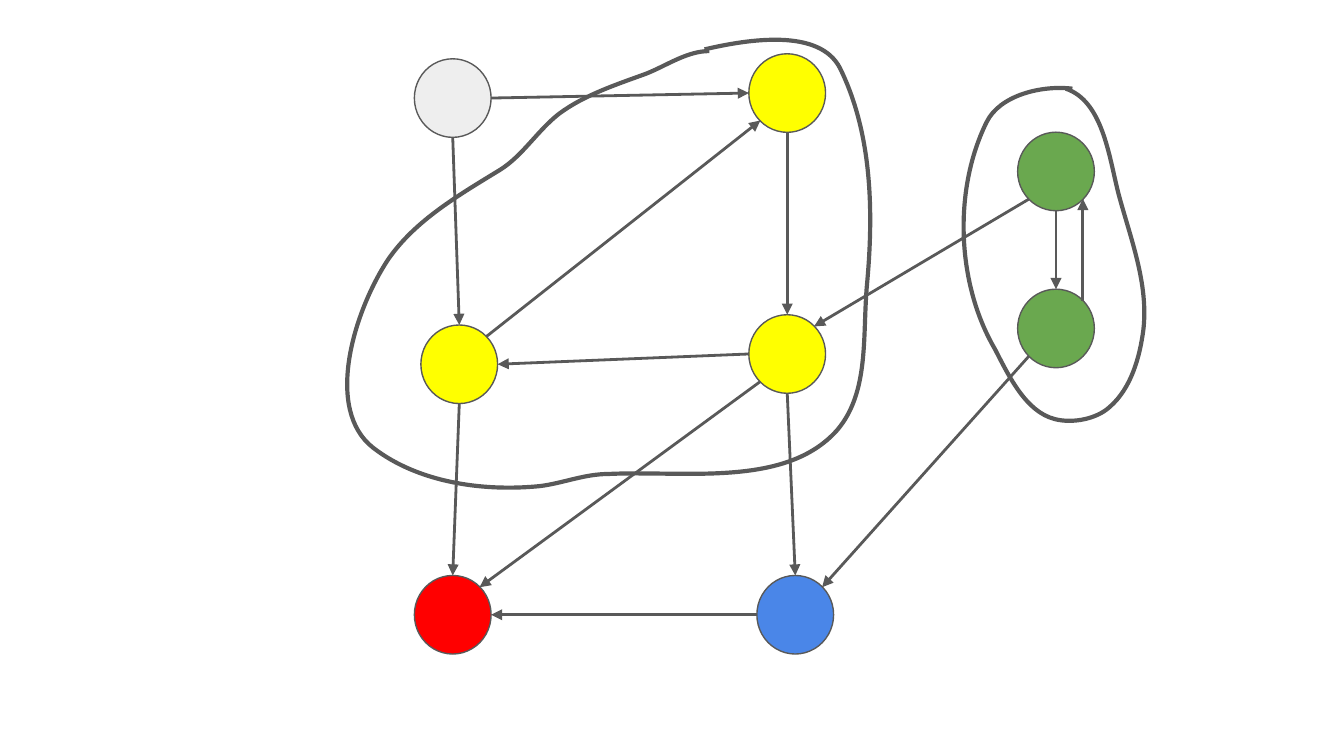
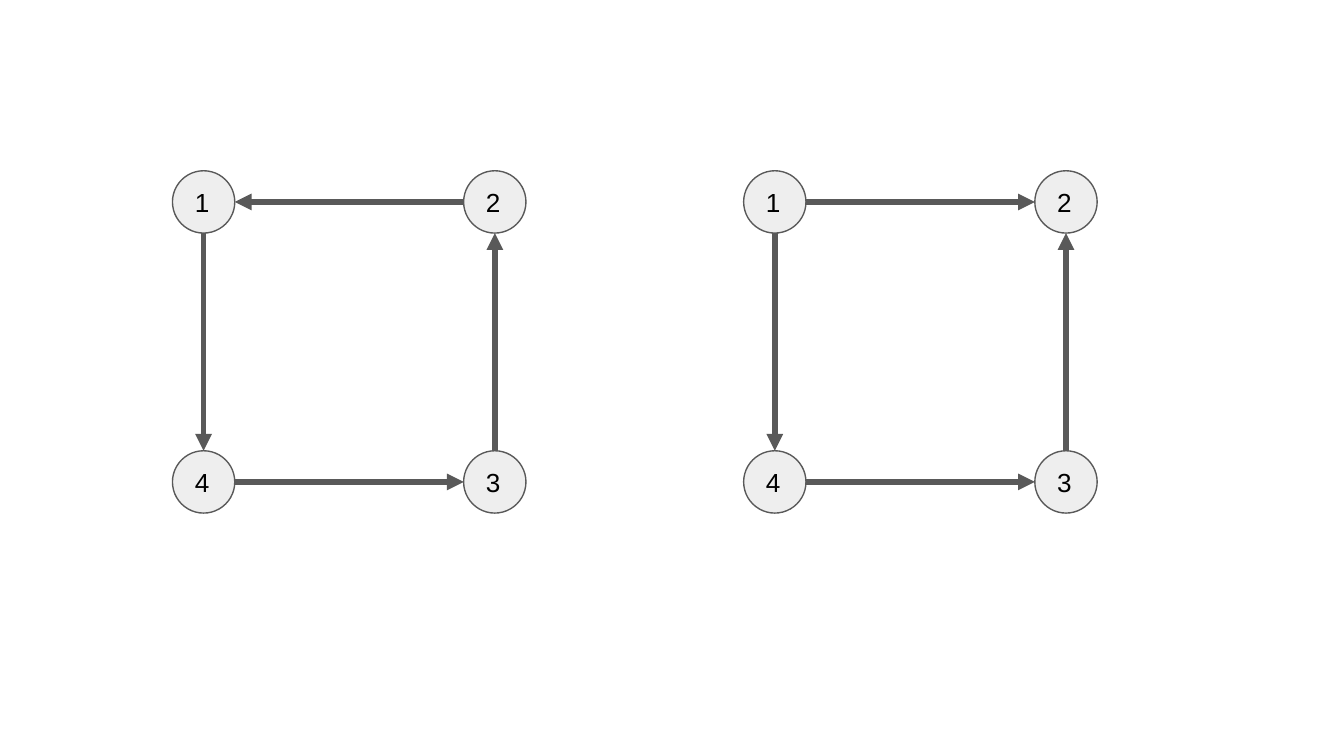
from dataclasses import dataclass

from lxml import etree
from pptx import Presentation
from pptx.dml.color import RGBColor
from pptx.enum.shapes import MSO_CONNECTOR, MSO_SHAPE
from pptx.enum.text import MSO_ANCHOR, PP_ALIGN
from pptx.oxml.ns import qn
from pptx.util import Pt

STRAIGHT = MSO_CONNECTOR.STRAIGHT
OVAL = MSO_SHAPE.OVAL
MIDDLE = MSO_ANCHOR.MIDDLE
LEFT = PP_ALIGN.LEFT

COLORS = {
    "line": "595959", "text": "000000", "gray": "EEEEEE", "red": "FF0000",
    "blue": "4A86E8", "yellow": "FFFF00", "green": "6AA84F",
}
FONT = "Arial"
DIAGONAL = 0.35  # half the side of the square inside a circle of diameter 1

# Connection sites of an ellipse: index and offset from the centre
SITES = {
    "top": (0, 0, -0.5), "top left": (1, -DIAGONAL, -DIAGONAL),
    "left": (2, -0.5, 0), "bottom left": (3, -DIAGONAL, DIAGONAL),
    "bottom": (4, 0, 0.5), "bottom right": (5, DIAGONAL, DIAGONAL),
    "right": (6, 0.5, 0), "top right": (7, DIAGONAL, -DIAGONAL),
}


@dataclass(frozen=True)
class Node:
    name: str
    left: float
    top: float
    color: str = "gray"
    width: float = 33.4
    height: float = 33.4
    label: str = ""


@dataclass(frozen=True)
class Edge:
    start: str
    start_site: str
    end: str
    end_site: str


@dataclass(frozen=True)
class Outline:
    """A start point, then two control points and an end point per curve."""
    left: float
    top: float
    width: float
    height: float
    points: tuple[tuple[float, float], ...]


CLUSTER_NODES = [
    Node(name, left, top, color, 41.1, 42.1)
    for name, left, top, color in [
        ("source", 222, 31.5, "gray"),
        ("red", 222, 308.3, "red"),
        ("blue", 405.5, 308.3, "blue"),
        ("yellow left", 225.5, 174.1, "yellow"),
        ("yellow right", 401.2, 168.6, "yellow"),
        ("yellow top", 401.2, 28.8, "yellow"),
        ("green low", 545.2, 154.9, "green"),
        ("green high", 545.2, 70.8, "green"),
    ]
]
CLUSTER_EDGES = [
    Edge("source", "bottom", "yellow left", "top"),
    Edge("yellow top", "bottom", "yellow right", "top"),
    Edge("yellow left", "bottom", "red", "top"),
    Edge("yellow right", "bottom", "blue", "top"),
    Edge("blue", "left", "red", "right"),
    Edge("source", "right", "yellow top", "left"),
    Edge("yellow left", "top right", "yellow top", "bottom left"),
    Edge("yellow right", "bottom left", "red", "top right"),
    Edge("green high", "bottom", "green low", "top"),
    Edge("green low", "top right", "green high", "bottom right"),
    Edge("green high", "bottom left", "yellow right", "top right"),
    Edge("green low", "bottom left", "blue", "top right"),
    Edge("yellow right", "left", "yellow left", "right"),
]
YELLOW_OUTLINE = Outline(185.8, 21.5, 280.8, 240.5, (
    (380, 27.4),
    (368, 27.4), (357, 35.3), (346, 39.6),
    (330, 45.4), (313, 51), (299.5, 61),
    (288, 70), (280, 83.5), (268, 91),
    (246, 104.5), (222.5, 118), (208, 139),
    (189.5, 167), (173.5, 219.5), (200, 240),
    (224, 258.5), (258.5, 263.5), (289, 260.5),
    (301.5, 259), (313, 254), (326, 254),
    (367, 252), (421, 261.5), (448.5, 230.5),
    (466, 210), (462, 179.5), (464.5, 152.5),
    (468, 114.5), (467.5, 72), (450, 36.5),
    (439, 15), (401, 21), (377.5, 26.5),
))
GREEN_OUTLINE = Outline(516.3, 46.9, 97.2, 178.6, (
    (574.5, 47.5),
    (558, 45.5), (535.5, 51), (528.5, 65.5),
    (510.5, 102), (512.5, 152), (533, 187),
    (540.5, 201.5), (549.5, 220.5), (565, 224.5),
    (574.5, 227), (587.5, 224.5), (594.5, 218),
    (606, 208), (610.5, 191.5), (612.5, 177),
    (615.5, 152), (605.5, 127.5), (599, 103),
    (594, 83), (590.5, 54), (571, 47.5),
))

SQUARE_CORNERS = {"1": (0, 0), "2": (1, 0), "4": (0, 1), "3": (1, 1)}
SQUARE_WIDTH, SQUARE_HEIGHT = 156, 150
SQUARE_TOP = 91.5
SHARED_EDGES = [
    Edge("1", "bottom", "4", "top"),
    Edge("4", "right", "3", "left"),
    Edge("3", "top", "2", "bottom"),
]
SQUARES = [
    (92.4, Edge("2", "left", "1", "right")),
    (398.4, Edge("1", "right", "2", "left")),
]


def color(name: str) -> RGBColor:
    return RGBColor.from_string(COLORS[name])


def set_line(shape, width: float) -> None:
    shape.line.color.rgb = color("line")
    shape.line.width = Pt(width)


def write_text(shape, text: str, *, size: float, ink: str, inset: float) -> None:
    frame = shape.text_frame
    frame.word_wrap = True
    frame.vertical_anchor = MIDDLE
    frame.margin_left = frame.margin_right = Pt(inset)
    frame.margin_top = frame.margin_bottom = Pt(inset)
    paragraph = frame.paragraphs[0]
    paragraph.alignment = LEFT
    span = paragraph.add_run()
    span.text = text
    span.font.name = FONT
    span.font.size = Pt(size)
    span.font.color.rgb = color(ink)


def draw_node(page, node: Node):
    circle = page.shapes.add_shape(
        OVAL, Pt(node.left), Pt(node.top), Pt(node.width), Pt(node.height))
    circle.shadow.inherit = False
    circle.fill.solid()
    circle.fill.fore_color.rgb = color(node.color)
    set_line(circle, 0.75)
    if node.label:
        write_text(circle, node.label, size=14, ink="text", inset=7.2)
    return circle


def site_point(circle, site: str) -> tuple[int, int]:
    _, across, down = SITES[site]
    return (round(circle.left + circle.width * (0.5 + across)),
            round(circle.top + circle.height * (0.5 + down)))


def draw_edge(page, circles: dict, edge: Edge, width: float) -> None:
    """Draw an arrow joined to the ellipse sites at both ends."""
    start, end = circles[edge.start], circles[edge.end]
    arrow = page.shapes.add_connector(
        STRAIGHT, *site_point(start, edge.start_site), *site_point(end, edge.end_site))
    set_line(arrow, width)
    properties = arrow.element.find(qn("p:spPr"))
    etree.SubElement(properties.find(qn("a:ln")), qn("a:tailEnd"), type="triangle")
    etree.SubElement(properties, qn("a:effectLst"))
    joints = next(arrow.element.iter(qn("p:cNvCxnSpPr")))
    for tag, circle, site in (("a:stCxn", start, edge.start_site),
                              ("a:endCxn", end, edge.end_site)):
        etree.SubElement(joints, qn(tag), id=str(circle.shape_id),
                         idx=str(SITES[site][0]))


def draw_graph(page, nodes: list[Node], edges: list[Edge], width: float) -> None:
    circles = {node.name: draw_node(page, node) for node in nodes}
    for edge in edges:
        draw_edge(page, circles, edge, width)


def bend_segments(loop, outline: Outline) -> None:
    """Turn the straight segments of a freeform into cubic curves."""
    loop.left, loop.top = Pt(outline.left), Pt(outline.top)
    loop.width, loop.height = Pt(outline.width), Pt(outline.height)
    track = next(loop.element.iter(qn("a:path")))
    for step in list(track):
        track.remove(step)
    track.set("w", str(loop.width))
    track.set("h", str(loop.height))
    for index, (x, y) in enumerate(outline.points):
        if index == 0:
            step = etree.SubElement(track, qn("a:moveTo"))
        elif index % 3 == 1:
            step = etree.SubElement(track, qn("a:cubicBezTo"))
        etree.SubElement(step, qn("a:pt"), x=str(Pt(x) - loop.left),
                         y=str(Pt(y) - loop.top))


def draw_outline(page, outline: Outline) -> None:
    first, *ends = [(Pt(x), Pt(y)) for x, y in outline.points[::3]]
    builder = page.shapes.build_freeform(*first)
    builder.add_line_segments(ends, close=False)
    loop = builder.convert_to_shape()
    bend_segments(loop, outline)
    loop.shadow.inherit = False
    loop.fill.background()
    set_line(loop, 2.25)


def build_clusters(page) -> None:
    draw_graph(page, CLUSTER_NODES, CLUSTER_EDGES, 1.5)
    for outline in (YELLOW_OUTLINE, GREEN_OUTLINE):
        draw_outline(page, outline)


def build_squares(page) -> None:
    for left, top_edge in SQUARES:
        nodes = [
            Node(name, left + column * SQUARE_WIDTH, SQUARE_TOP + row * SQUARE_HEIGHT,
                 label=name)
            for name, (column, row) in SQUARE_CORNERS.items()
        ]
        draw_graph(page, nodes, SHARED_EDGES + [top_edge], 3)


def main() -> None:
    deck = Presentation()
    deck.slide_width, deck.slide_height = Pt(720), Pt(405)
    blank = deck.slide_layouts[6]
    for build in (build_clusters, build_squares):
        build(deck.slides.add_slide(blank))
    deck.save("out.pptx")


if __name__ == "__main__":
    main()
